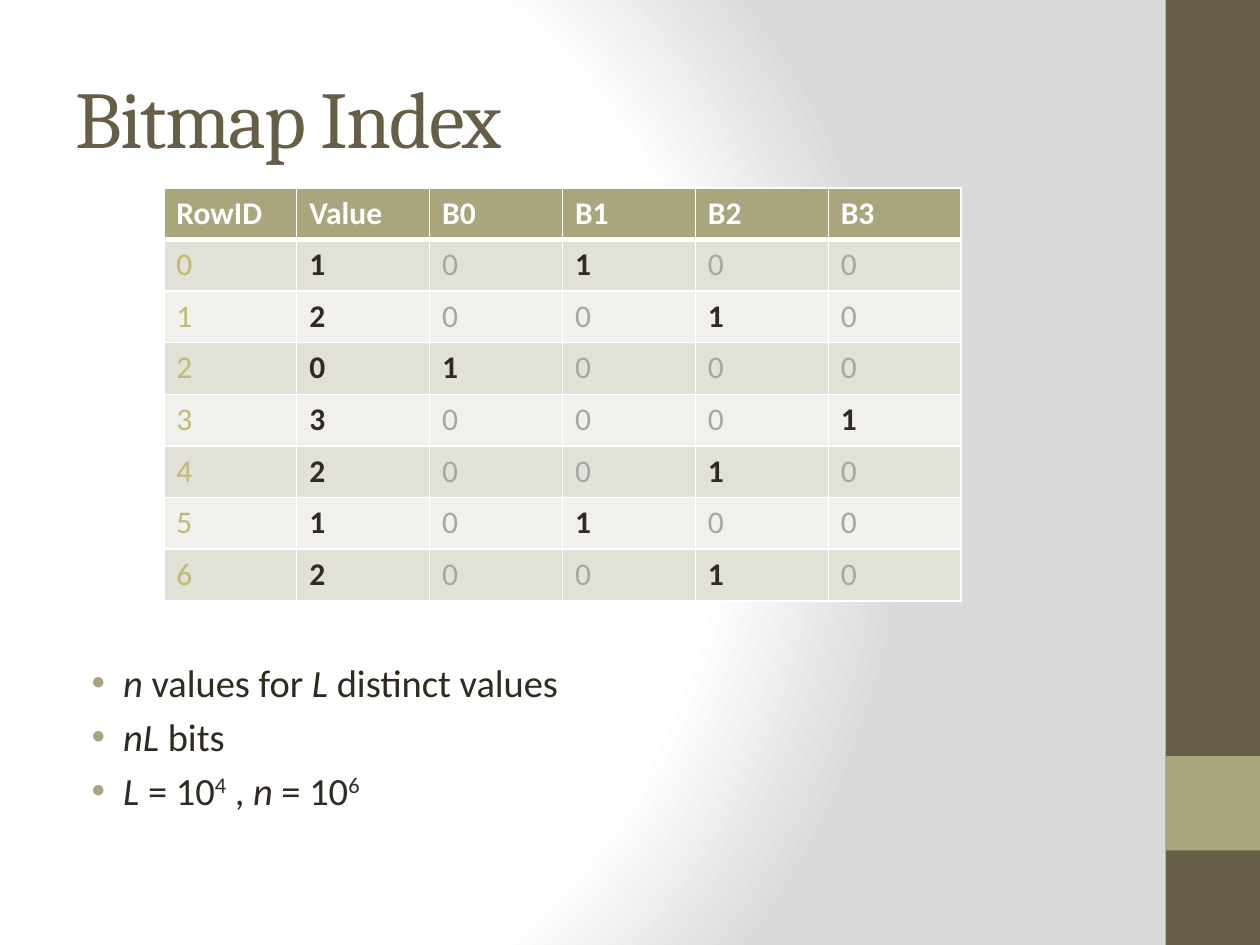
from dataclasses import dataclass

from lxml import etree
from pptx import Presentation
from pptx.dml.color import RGBColor
from pptx.enum.shapes import MSO_SHAPE
from pptx.enum.text import MSO_ANCHOR
from pptx.oxml import parse_xml
from pptx.oxml.ns import nsdecls, qn
from pptx.util import Inches, Pt

TITLE = "Bitmap Index"
VALUES = [1, 2, 0, 3, 2, 1, 2]
DISTINCT = 4
HEADINGS = ["RowID", "Value"] + [f"B{bit}" for bit in range(DISTINCT)]
POINTS = [
    [("n ", "italic"), ("values for ", ""), ("L", "italic"), (" distinct values", "")],
    [("nL ", "italic"), ("bits", "")],
    [("L ", "italic"), ("= 10", ""), ("4", "super"), (" , ", ""),
     ("n", "italic"), (" = 10", ""), ("6", "super")],
]


@dataclass(frozen=True)
class Theme:
    heading_font: str = "Cambria"
    body_font: str = "Calibri"
    title_size: int = 46
    body_size: int = 22
    table_size: int = 18
    brown: str = "675E47"
    olive: str = "A9A57C"
    ink: str = "2F2B20"
    row_id: str = "C0BA71"
    zero: str = "A6A6A6"
    white: str = "FFFFFF"
    gray: str = "DADADA"
    bands: tuple = ("E2E1D7", "F1F0EC")


theme = Theme()


def write(frame, paragraphs, font=theme.body_font, size=theme.body_size,
          color=theme.ink, bold=False, spacing=None, bullet=None, before=0):
    frame.word_wrap = True
    for index, pieces in enumerate(paragraphs):
        paragraph = frame.add_paragraph() if index else frame.paragraphs[0]
        paragraph.space_before = Pt(before)
        if bullet:
            properties = paragraph._p.get_or_add_pPr()
            properties.set("marL", str(Inches(0.38)))
            properties.set("indent", str(Inches(-0.25)))
            properties.append(parse_xml(
                f'<a:buClr {nsdecls("a")}><a:srgbClr val="{bullet}"/></a:buClr>'))
            properties.append(parse_xml(f'<a:buFont {nsdecls("a")} typeface="Arial"/>'))
            properties.append(parse_xml(f'<a:buChar {nsdecls("a")} char="•"/>'))
        for text, style in pieces:
            run = paragraph.add_run()
            run.text = text
            run.font.name = font
            run.font.size = Pt(size)
            run.font.bold = bold
            run.font.italic = style == "italic"
            run.font.color.rgb = RGBColor.from_string(color)
            if style == "super":
                run._r.get_or_add_rPr().set("baseline", "30000")
            if spacing:
                run._r.get_or_add_rPr().set("spc", str(spacing * 100))


def set_borders(cell, **widths):
    properties = cell._tc.get_or_add_tcPr()
    for position, (side, width) in enumerate(widths.items()):
        properties.insert(position, parse_xml(
            f'<a:ln{side} {nsdecls("a")} w="{Pt(width)}"><a:solidFill>'
            f'<a:srgbClr val="{theme.white}"/></a:solidFill></a:ln{side}>'))


def paint_background(slide):
    fill = slide.background.fill
    fill.gradient()
    gradient = next(slide.element.iter(qn("a:gradFill")))
    for child in list(gradient):
        gradient.remove(child)
    stops = etree.SubElement(gradient, qn("a:gsLst"))
    for place, color in [(0, theme.white), (75, theme.white), (100, theme.gray)]:
        stop = etree.SubElement(stops, qn("a:gs"), pos=str(place * 1000))
        etree.SubElement(stop, qn("a:srgbClr"), val=color)
    circle = etree.SubElement(gradient, qn("a:path"))
    circle.set("path", "circle")
    etree.SubElement(circle, qn("a:fillToRect"),
                     l="20000", t="50000", r="100000", b="50000")


deck = Presentation()
deck.slide_width, deck.slide_height = Inches(10), Inches(7.5)
slide = deck.slides.add_slide(deck.slide_layouts[6])
paint_background(slide)

for top, height, color in [(0, 7.5, theme.brown), (6, 0.75, theme.olive)]:
    band = slide.shapes.add_shape(
        MSO_SHAPE.RECTANGLE, Inches(9.25), Inches(top), Inches(0.75), Inches(height))
    band.shadow.inherit = False
    band.fill.solid()
    band.fill.fore_color.rgb = RGBColor.from_string(color)
    band.line.fill.background()

title = slide.shapes.add_textbox(Inches(0.5), Inches(0.3), Inches(8.33), Inches(1.25))
title.text_frame.vertical_anchor = MSO_ANCHOR.MIDDLE
write(title.text_frame, [[(TITLE, "")]], font=theme.heading_font,
      size=theme.title_size, color=theme.brown, spacing=-1)

points = slide.shapes.add_textbox(Inches(0.5), Inches(5.18), Inches(8.33), Inches(1.82))
write(points.text_frame, POINTS, bullet=theme.olive, before=4.4)

rows = [HEADINGS] + [
    [row_id, value] + [int(value == bit) for bit in range(DISTINCT)]
    for row_id, value in enumerate(VALUES)
]
bitmap = slide.shapes.add_table(
    len(rows), len(HEADINGS), Inches(1.3), Inches(1.49), Inches(6.33), Inches(3.28)).table
for r, row in enumerate(rows):
    for c, entry in enumerate(row):
        cell = bitmap.cell(r, c)
        cell.fill.solid()
        if r == 0:
            fill, color, bold = theme.olive, theme.white, True
        else:
            fill = theme.bands[(r - 1) % 2]
            bold = c == 1 or (c > 1 and entry == 1)
            color = theme.row_id if c == 0 else theme.ink if bold else theme.zero
        cell.fill.fore_color.rgb = RGBColor.from_string(fill)
        set_borders(cell, L=1, R=1, T=3 if r == 1 else 1, B=3 if r == 0 else 1)
        write(cell.text_frame, [[(str(entry), "")]],
              size=theme.table_size, color=color, bold=bold)

deck.save("out.pptx")
